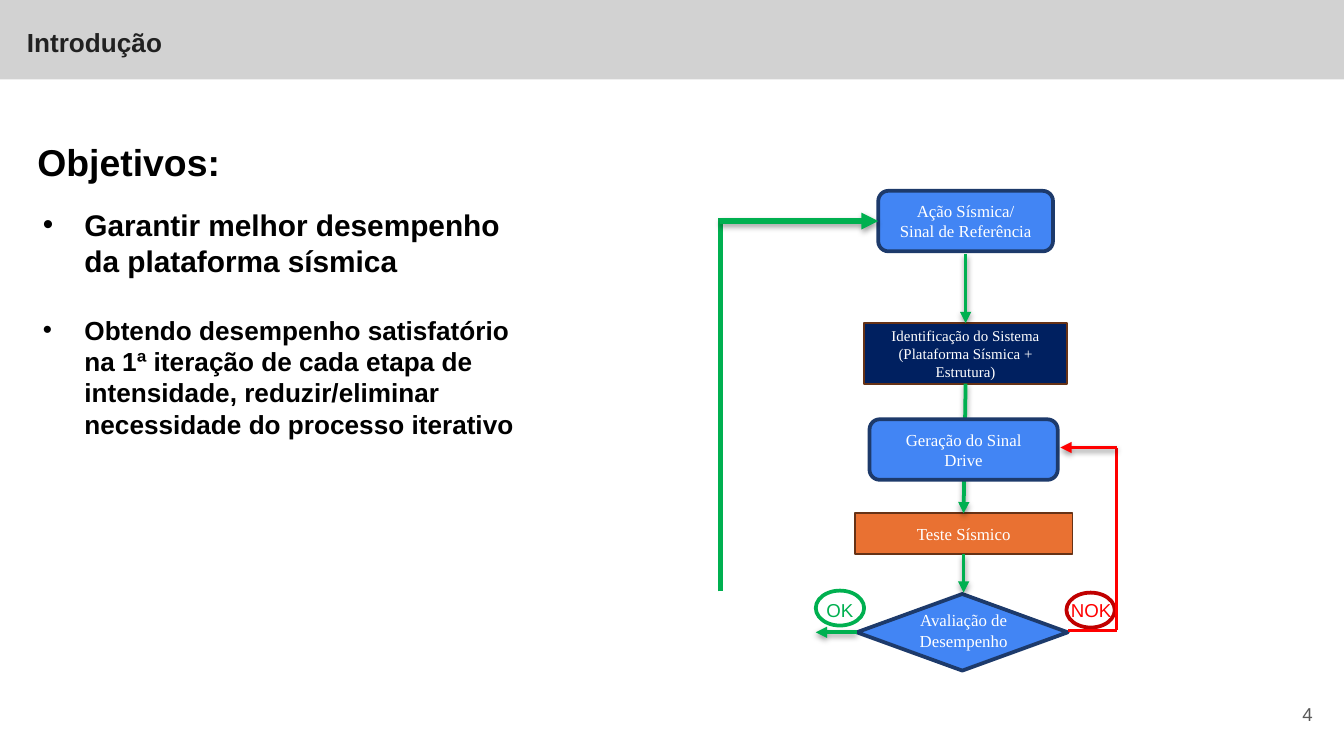
"""Build the "Introdução" slide: objectives beside the seismic test flowchart."""
from lxml import etree
from pptx import Presentation, util as u
from pptx.dml.color import RGBColor
from pptx.enum import shapes, text
from pptx.oxml import parse_xml
from pptx.oxml.ns import qn

PX = 4572
COLORS = {
    "header": "909090", "title": "212121", "number": "595959", "black": "000000",
    "white": "FFFFFF", "blue": "4285F4", "blue_edge": "1D3A6B", "navy": "002060",
    "orange": "E97132", "brown": "663216", "green": "00B050", "red": "FF0000",
    "dark_red": "C00000",
}
RGB = {name: RGBColor.from_string(value) for name, value in COLORS.items()}
SHADOW = (
    '<a:effectLst xmlns:a="http://schemas.openxmlformats.org/drawingml/2006/main">'
    '<a:outerShdw blurRad="39370" dist="20320" dir="5400000" rotWithShape="0">'
    '<a:srgbClr val="000000"><a:alpha val="38000"/></a:srgbClr>'
    '</a:outerShdw></a:effectLst>'
)
SHAPE, ALIGN, ANCHOR = shapes.MSO_SHAPE, text.PP_ALIGN, text.MSO_ANCHOR

prs = Presentation()
prs.slide_width, prs.slide_height = 2000 * PX, 1125 * PX
slide = prs.slides.add_slide(prs.slide_layouts[5])


def write(holder, words, size, color, font="Arial", bold=False, align=ALIGN.LEFT,
          anchor=ANCHOR.TOP, inset=None):
    frame = holder.text_frame
    frame.text = words
    frame.word_wrap = True
    frame.auto_size = text.MSO_AUTO_SIZE.NONE
    frame.vertical_anchor = anchor
    if inset:
        frame.margin_left = frame.margin_right = inset * PX
        frame.margin_top = frame.margin_bottom = inset * PX
    for paragraph in frame.paragraphs:
        paragraph.alignment = align
        for run in paragraph.runs:
            run.font.name, run.font.size, run.font.bold = font, u.Pt(size), bold
            run.font.color.rgb = RGB[color]


def link(start, end, color, width, source=None, target=None, arrow=True):
    line = slide.shapes.add_connector(
        shapes.MSO_CONNECTOR.STRAIGHT, *(v * PX for v in start + end))
    if source:
        line.begin_connect(*source)
    if target:
        line.end_connect(*target)
    line.line.color.rgb = RGB[color]
    line.line.width = u.Pt(width)
    effects = parse_xml(SHADOW)
    if arrow:
        etree.SubElement(line.line._get_or_add_ln(), qn("a:tailEnd"), type="triangle")
    else:
        effects.remove(effects[0])
    line._element.spPr.append(effects)


header = slide.shapes.add_shape(SHAPE.RECTANGLE, 0, 0, 2000 * PX, 118 * PX)
header.shadow.inherit = False
header.fill.solid()
header.fill.fore_color.rgb = RGB["header"]
header_color = header._element.spPr.find(qn("a:solidFill"))[0]
etree.SubElement(header_color, qn("a:alpha"), val="40000")
header.line.fill.background()
slide.shapes._spTree.insert(2, header._element)

title = slide.shapes.title
title.left, title.top, title.width, title.height = (v * PX for v in (20, 19, 300, 88))
write(title, "Introdução", 14, "title", bold=True, inset=20)

steps = {}
for step, kind, box, fill, edge, width, words, size in [
    ("reference", SHAPE.ROUNDED_RECTANGLE, (1307, 284, 260, 90), "blue", "blue_edge", 2,
     "Ação Sísmica/\nSinal de Referência", 9),
    ("identification", SHAPE.RECTANGLE, (1286, 481, 302, 90), "navy", "brown", 1,
     "Identificação do Sistema\n(Plataforma Sísmica + Estrutura)", 8),
    ("test", SHAPE.RECTANGLE, (1272, 764, 324, 61), "orange", "brown", 1,
     "Teste Sísmico", 9),
    ("drive", SHAPE.ROUNDED_RECTANGLE, (1294, 624, 280, 90), "blue", "blue_edge", 2,
     "Geração do Sinal Drive", 9),
    ("evaluation", SHAPE.DIAMOND, (1275, 884, 314, 114), "blue", "blue_edge", 2, "", 9),
    ("nok", SHAPE.OVAL, (1587, 882, 72, 52), "white", "dark_red", 2, "", 10),
    ("ok", SHAPE.OVAL, (1214, 879, 72, 52), "white", "green", 2, "", 10),
]:
    if step == "drive":
        link((1437, 571), (1434, 764), "green", 2,
             (steps["identification"], 2), (steps["test"], 0))
    node = slide.shapes.add_shape(kind, *(v * PX for v in box))
    node.shadow.inherit = False
    node.fill.solid()
    node.fill.fore_color.rgb = RGB[fill]
    node.line.color.rgb = RGB[edge]
    node.line.width = u.Pt(width)
    if words:
        write(node, words, size, "white", "Times New Roman",
              align=ALIGN.CENTER, anchor=ANCHOR.MIDDLE)
    steps[step] = node

link((1437, 378), (1437, 481), "green", 2, target=(steps["identification"], 0))
link((1434, 825), (1434, 882), "green", 2, (steps["test"], 2))
link((1590, 938), (1662, 938), "red", 1.5, arrow=False)
link((1662, 938), (1662, 666), "red", 1.5, arrow=False)
link((1662, 666), (1578, 666), "red", 2)
link((1275, 941), (1214, 941), "green", 2, (steps["evaluation"], 1))
link((1072, 880), (1072, 324), "green", 3, arrow=False)
link((1072, 329), (1307, 329), "green", 3, target=(steps["reference"], 1))

for box, words, style in [
    ((1574, 881, 102, 54), "NOK", dict(size=10, color="red")),
    ((1210, 881, 88, 54), "OK", dict(size=10, color="green")),
    ((1304, 898, 260, 80), "Avaliação de Desempenho",
     dict(size=9, color="white", font="Times New Roman", align=ALIGN.CENTER)),
    ((36, 197, 1000, 88), "Objetivos:", dict(size=20, color="black", bold=True)),
    ((1853, 1020, 120, 86), "4", dict(size=10, color="number", align=ALIGN.RIGHT,
                                      anchor=ANCHOR.MIDDLE, inset=20)),
]:
    label = slide.shapes.add_textbox(*(v * PX for v in box))
    write(label, words, **style)

goals = slide.shapes.add_textbox(*(v * PX for v in (44, 298, 744, 370)))
write(goals, "Garantir melhor desempenho da plataforma sísmica\n"
      "Obtendo desempenho satisfatório na 1ª iteração de cada etapa de intensidade, "
      "reduzir/eliminar necessidade do processo iterativo", 16, "black", bold=True)
for goal, size in zip(goals.text_frame.paragraphs, (16, 14)):
    props = goal._p.get_or_add_pPr()
    props.set("marL", str(62 * PX))
    props.set("indent", str(-62 * PX))
    etree.SubElement(props, qn("a:buFont"), typeface="Arial")
    etree.SubElement(props, qn("a:buChar"), char="•")
    goal.runs[0].font.size = u.Pt(size)
goal.space_before = u.Pt(19)

prs.save("out.pptx")
